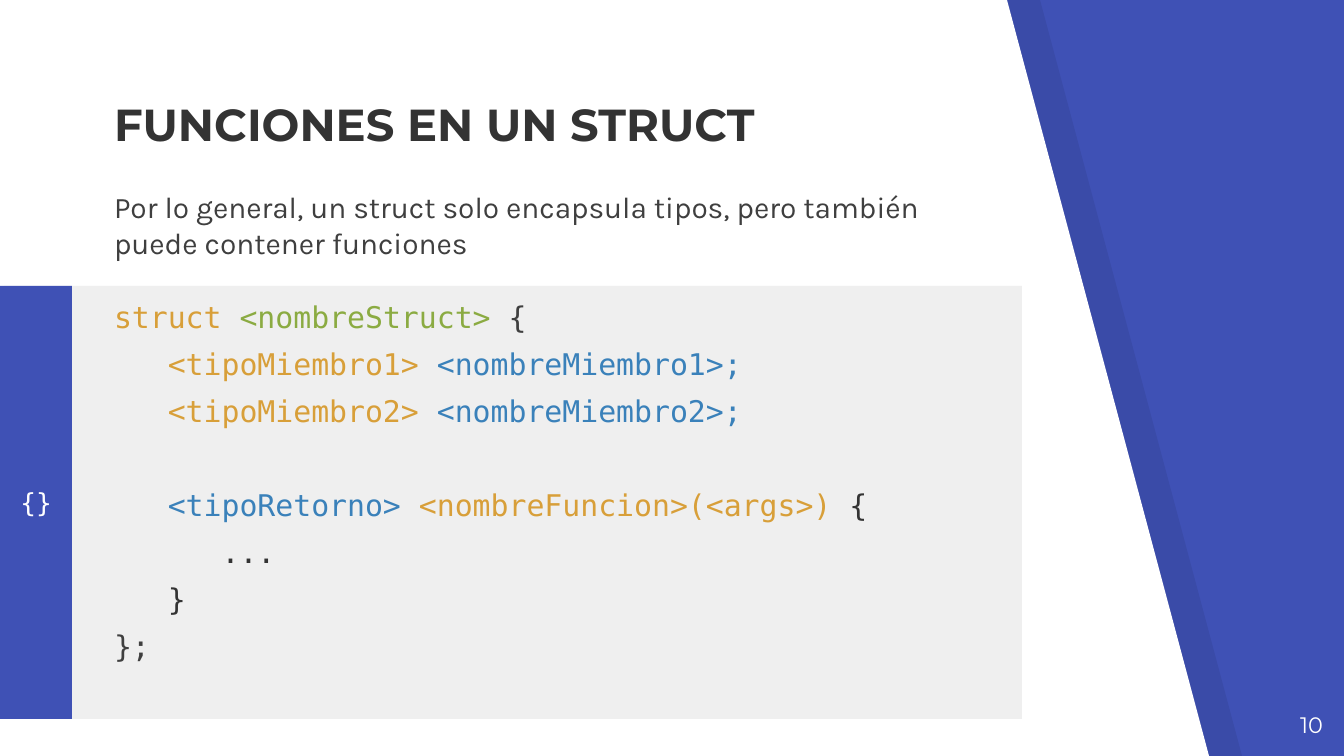
from lxml.etree import SubElement
from pptx import Presentation
from pptx.dml.color import RGBColor
from pptx.enum.shapes import MSO_SHAPE
from pptx.enum.text import MSO_ANCHOR, MSO_AUTO_SIZE, PP_ALIGN
from pptx.oxml.ns import qn
from pptx.util import Pt

PX = 914400 / 134.4
WIDTH, HEIGHT = 1344, 756

BLUE = RGBColor(0x3F, 0x51, 0xB5)
WHITE = RGBColor(0xFF, 0xFF, 0xFF)
BLACK = RGBColor(0x00, 0x00, 0x00)
PANEL_GREY = RGBColor(0xEF, 0xEF, 0xEF)
DARK = RGBColor(0x33, 0x33, 0x33)
TEXT_GREY = RGBColor(0x3F, 0x3F, 0x3F)
CODE_ORANGE = RGBColor(0xD8, 0x9F, 0x39)
CODE_GREEN = RGBColor(0x8B, 0xAB, 0x42)
CODE_BLUE = RGBColor(0x3A, 0x81, 0xBA)

HEADING_FONT, BODY_FONT, CODE_FONT = "Montserrat", "Karla", "DejaVu Sans Mono"

TITLE = "FUNCIONES EN UN STRUCT"
INTRO = ("Por lo general, un struct solo encapsula tipos, "
         "pero también puede contener funciones")
PAGE_NUMBER = "10"
BADGE = "{}"

LINE_GAP = 6
SECTION_GAP = 31  # one empty code line plus its own gap
# Each code line: space before in points, then its coloured spans
CODE = [
    (0, [("struct ", CODE_ORANGE), ("<nombreStruct> ", CODE_GREEN), ("{", TEXT_GREY)]),
    (LINE_GAP, [("   <tipoMiembro1> ", CODE_ORANGE), ("<nombreMiembro1>;", CODE_BLUE)]),
    (LINE_GAP, [("   <tipoMiembro2> ", CODE_ORANGE), ("<nombreMiembro2>;", CODE_BLUE)]),
    (SECTION_GAP, [("   <tipoRetorno> ", CODE_BLUE),
                   ("<nombreFuncion>(<args>) ", CODE_ORANGE), ("{", DARK)]),
    (LINE_GAP, [("      ...", DARK)]),
    (LINE_GAP, [("   }", DARK)]),
    (LINE_GAP, [("};", TEXT_GREY)]),
]

# left, top, width, height in px
TEXT_LEFT, TEXT_WIDTH = 101, 904
CODE_TOP, CODE_HEIGHT = 286, 433
TITLE_AREA = (TEXT_LEFT, 103, TEXT_WIDTH, 60)
INTRO_AREA = (TEXT_LEFT, 176, TEXT_WIDTH, 98)
NUMBER_AREA = (1255, 698, 81, 58)
PANEL_AREA = (4, CODE_TOP, 1018, CODE_HEIGHT)
BADGE_AREA = (0, CODE_TOP, 72, CODE_HEIGHT)
CODE_AREA = (TEXT_LEFT, CODE_TOP, 851, CODE_HEIGHT)
PAPER_TOP_RIGHT, PAPER_BOTTOM_RIGHT, SHADE_OFFSET = 1007, 1209, 33


def emu(px):
    return round(px * PX)


def write(shape, lines, font, size, bold=False, align=PP_ALIGN.LEFT,
          anchor=MSO_ANCHOR.TOP):
    """Fill a shape with (space before, [(text, colour), ...]) lines."""
    frame = shape.text_frame
    frame.word_wrap = True
    frame.auto_size = MSO_AUTO_SIZE.NONE
    frame.vertical_anchor = anchor
    frame.margin_left = frame.margin_right = emu(13)
    frame.margin_top = frame.margin_bottom = emu(13)
    for index, (space, spans) in enumerate(lines):
        para = frame.add_paragraph() if index else frame.paragraphs[0]
        para.alignment = align
        para.space_before = Pt(space)
        for text, color in spans:
            span = para.add_run()
            span.text = text
            span.font.name = font
            span.font.size = Pt(size)
            span.font.bold = bold
            span.font.color.rgb = color


def add_text(page, area, lines, **style):
    box = page.shapes.add_textbox(*map(emu, area))
    write(box, lines, **style)


def paint(shape, color, alpha=None):
    """Give a shape a plain fill, with opacity in percent."""
    shape.shadow.inherit = False
    shape.line.fill.background()
    shape.fill.solid()
    shape.fill.fore_color.rgb = color
    if alpha is not None:
        tone = shape.element.spPr.find(qn("a:solidFill"))[0]
        SubElement(tone, qn("a:alpha"), val=str(alpha * 1000))


def add_panel(page, area, color):
    panel = page.shapes.add_shape(MSO_SHAPE.RECTANGLE, *map(emu, area))
    paint(panel, color)
    return panel


def add_slanted_paper(page, left, color, alpha=None):
    builder = page.shapes.build_freeform(left, 0, scale=PX)
    builder.add_line_segments([(left, HEIGHT), (left + PAPER_BOTTOM_RIGHT, HEIGHT),
                               (left + PAPER_TOP_RIGHT, 0)], close=True)
    paint(builder.convert_to_shape(), color, alpha)


def place_title(page):
    title = page.shapes.title
    title.left, title.top, title.width, title.height = map(emu, TITLE_AREA)
    write(title, [(0, [(TITLE, DARK)])], font=HEADING_FONT, size=24, bold=True,
          anchor=MSO_ANCHOR.BOTTOM)
    title.element.getparent().append(title.element)  # in front of the paper


def main():
    deck = Presentation()
    deck.slide_width, deck.slide_height = emu(WIDTH), emu(HEIGHT)
    page = deck.slides.add_slide(deck.slide_layouts[5])
    page.background.fill.solid()
    page.background.fill.fore_color.rgb = BLUE

    add_slanted_paper(page, SHADE_OFFSET, BLACK, alpha=7)
    add_slanted_paper(page, 0, WHITE)
    add_panel(page, PANEL_AREA, PANEL_GREY)
    badge = add_panel(page, BADGE_AREA, BLUE)
    write(badge, [(0, [(BADGE, WHITE)])], font=CODE_FONT, size=14,
          align=PP_ALIGN.CENTER, anchor=MSO_ANCHOR.MIDDLE)

    add_text(page, INTRO_AREA, [(0, [(INTRO, TEXT_GREY)])], font=BODY_FONT, size=16)
    add_text(page, NUMBER_AREA, [(0, [(PAGE_NUMBER, WHITE)])], font=HEADING_FONT,
             size=12, align=PP_ALIGN.RIGHT)
    place_title(page)
    add_text(page, CODE_AREA, CODE, font=CODE_FONT, size=16)
    deck.save("out.pptx")


if __name__ == "__main__":
    main()
